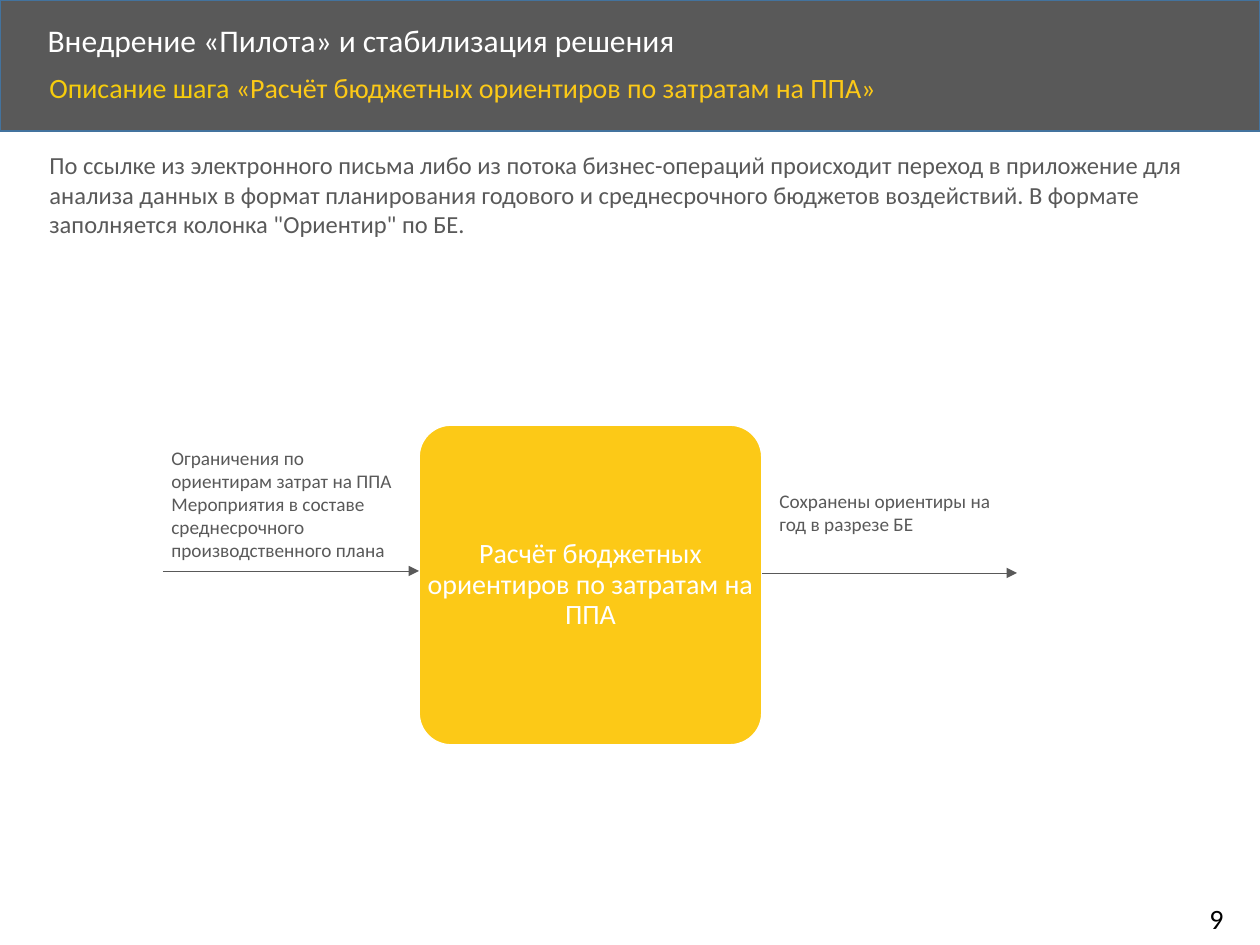
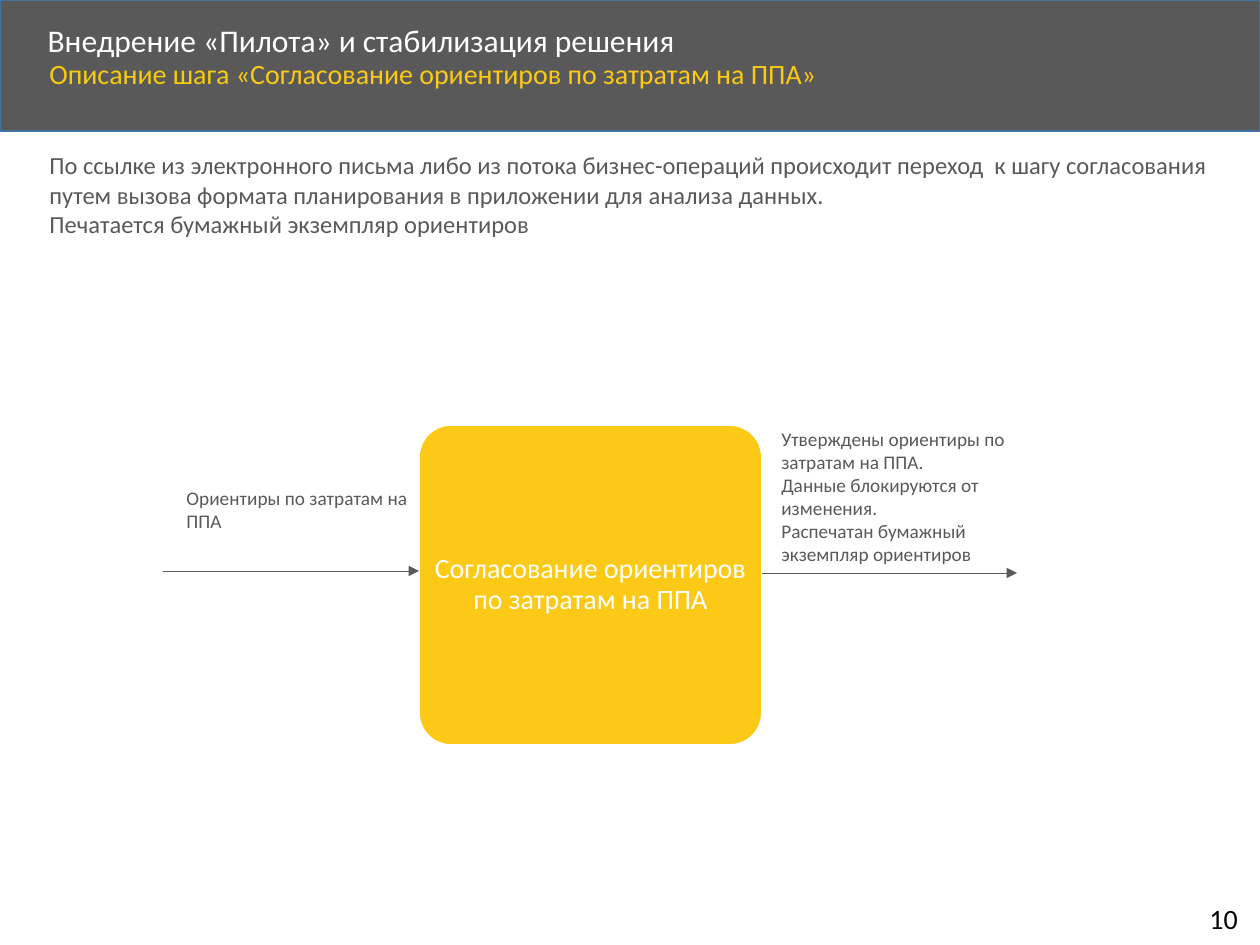
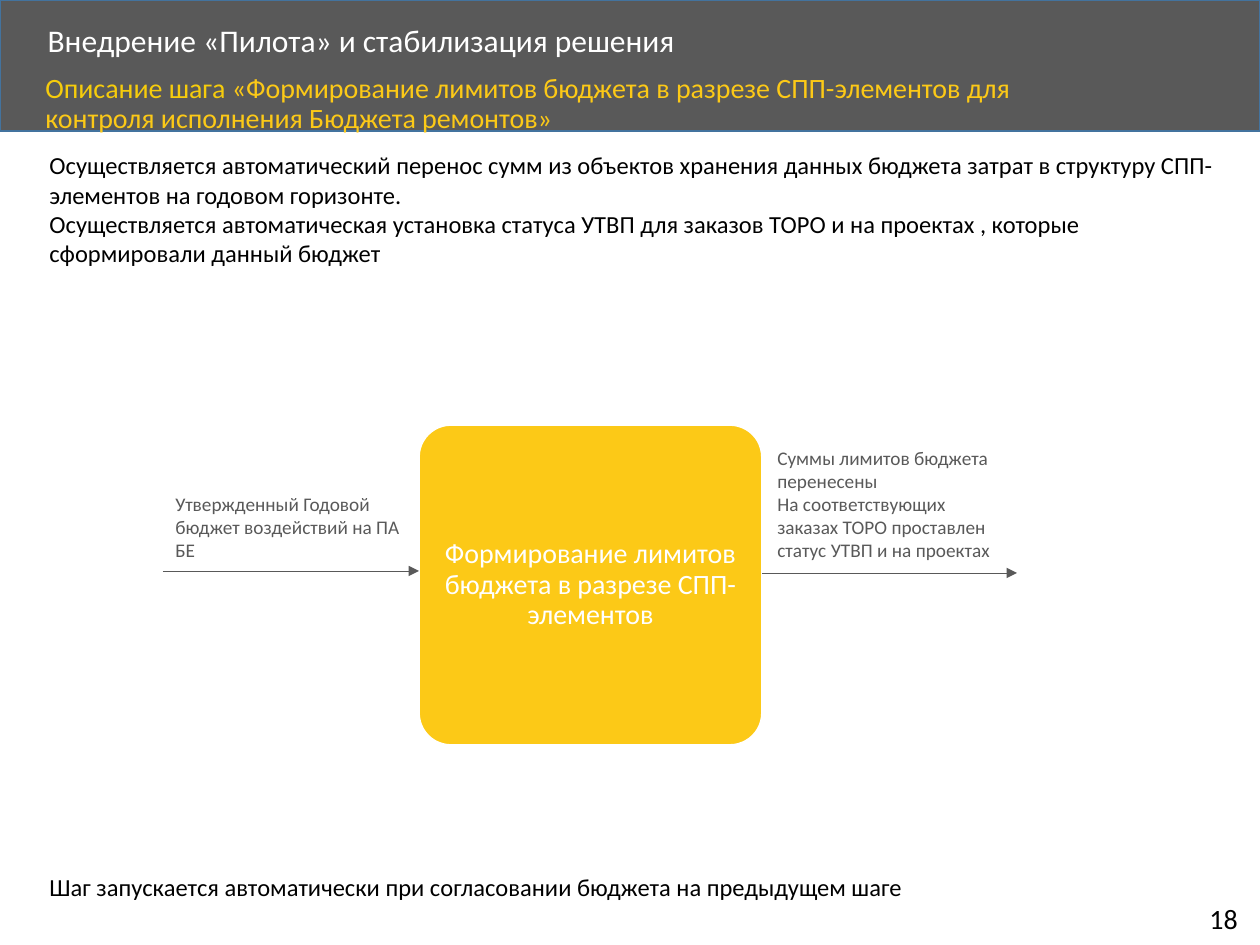
from lxml.etree import SubElement
from pptx import Presentation
from pptx.dml.color import RGBColor
from pptx.enum.shapes import MSO_CONNECTOR, MSO_SHAPE
from pptx.enum.text import MSO_ANCHOR, MSO_AUTO_SIZE, PP_ALIGN
from pptx.oxml.ns import qn
from pptx.util import Inches, Pt

PX = Inches(1) / 126
GRAY = RGBColor(0x59, 0x59, 0x59)
BLUE = RGBColor(0x43, 0x73, 0x9E)
GOLD = RGBColor(0xF6, 0xCC, 0x0C)
YELLOW = RGBColor(0xFC, 0xC9, 0x17)
WHITE = RGBColor(0xFF, 0xFF, 0xFF)
BLACK = RGBColor(0, 0, 0)

HEADING = "Внедрение «Пилота» и стабилизация решения"
SUBTITLE_LEAD = "Описание шага "
BAND_BOX = (0, 0, 1260, 131)
HEADING_BOX = (35, 18, 1017, 48)
NUMBER_BOX = (1197, 895, 58, 47)
STEP_BOX = (419, 425, 343, 320)

STEPS = [
    {
        "number": "9",
        "subtitle": "«Расчёт бюджетных ориентиров по затратам на ППА»",
        "subtitle_box": (37, 68, 1090, 57),
        "step": "Расчёт бюджетных ориентиров по затратам на ППА",
        "input": ["Ограничения по ориентирам затрат на ППА",
                  "Мероприятия в составе среднесрочного производственного плана"],
        "input_box": (159, 440, 252, 130),
        "output": ["Сохранены ориентиры на год в разрезе БЕ"],
        "output_box": (767, 483, 252, 59),
        "color": GRAY,
        "notes": [((37, 144, 1192, 102), [
            "По ссылке из электронного письма либо из потока бизнес-операций "
            "происходит переход в приложение для анализа данных в формат "
            "планирования годового и среднесрочного бюджетов воздействий. "
            "В формате заполняется колонка \"Ориентир\" по БЕ."])],
    },
    {
        "number": "10",
        "subtitle": "«Согласование ориентиров по затратам на ППА»",
        "subtitle_box": (37, 54, 1092, 57),
        "step": "Согласование ориентиров по затратам на ППА",
        "input": ["Ориентиры по затратам на ППА"],
        "input_box": (174, 480, 252, 59),
        "output": ["Утверждены ориентиры по затратам на ППА.",
                   "Данные блокируются от изменения.",
                   "Распечатан бумажный экземпляр ориентиров"],
        "output_box": (769, 421, 252, 152),
        "color": GRAY,
        "notes": [((37, 144, 1192, 102), [
            "По ссылке из электронного письма либо из потока бизнес-операций "
            "происходит переход  к шагу согласования путем вызова формата "
            "планирования в приложении для анализа данных.",
            "Печатается бумажный экземпляр ориентиров"])],
    },
    {
        "number": "18",
        "subtitle": "«Формирование лимитов бюджета в разрезе СПП-элементов "
                    "для контроля исполнения Бюджета ремонтов»",
        "subtitle_box": (33, 68, 1092, 57),
        "step": "Формирование лимитов бюджета в разрезе СПП-элементов",
        "input": ["Утвержденный Годовой бюджет воздействий на ПА БЕ"],
        "input_box": (163, 486, 252, 83),
        "output": ["Суммы лимитов бюджета перенесены",
                   "На соответствующих заказах ТОРО проставлен статус УТВП "
                   "и на проектах"],
        "output_box": (765, 440, 252, 130),
        "color": BLACK,
        "notes": [
            ((37, 144, 1192, 131), [
                "Осуществляется автоматический перенос сумм из объектов "
                "хранения данных бюджета затрат в структуру СПП-элементов "
                "на годовом горизонте.",
                "Осуществляется автоматическая установка статуса УТВП для "
                "заказов ТОРО и на проектах , которые сформировали данный "
                "бюджет"]),
            ((37, 866, 1192, 43), [
                "Шаг запускается автоматически при согласовании бюджета "
                "на предыдущем шаге"])],
    },
]


def emu(*lengths):
    return [round(n * PX) for n in lengths]


def set_all(target, values):
    for name, value in values.items():
        setattr(target, name, value)


def write(tf, paragraphs, size, frame=None, para=None):
    set_all(tf, {"word_wrap": True, "auto_size": MSO_AUTO_SIZE.NONE, **(frame or {})})
    for i, runs in enumerate(paragraphs):
        p = tf.add_paragraph() if i else tf.paragraphs[0]
        set_all(p, para or {})
        for text, color in runs:
            r = p.add_run()
            r.text = text
            set_all(r.font, {"name": "Calibri", "size": Pt(size)})
            r.font.color.rgb = color


def add_text(shapes, box, paragraphs, size, frame=None, para=None):
    sp = shapes.add_textbox(*emu(*box))
    write(sp.text_frame, paragraphs, size, frame, para)


def add_block(shapes, kind, box, fill, line):
    sp = shapes.add_shape(kind, *emu(*box))
    sp.shadow.inherit = False
    sp.fill.solid()
    sp.fill.fore_color.rgb = fill
    sp.line.color.rgb = line
    sp.line.width = Pt(1)
    return sp


def add_arrow(shapes, x, y, length):
    line = shapes.add_connector(MSO_CONNECTOR.STRAIGHT, *emu(x, y, x + length, y))
    line.line.color.rgb = GRAY
    line.line.width = Pt(0.5)
    SubElement(line.line._get_or_add_ln(), qn("a:tailEnd"), type="triangle")
    SubElement(line.element.spPr, qn("a:effectLst"))


def move_band_to_layout(slide):
    band = add_block(slide.shapes, MSO_SHAPE.RECTANGLE, BAND_BOX, GRAY, BLUE)
    slide.slide_layout.shapes.element.insert(2, band.element)


def add_header(slide, step):
    title = slide.shapes.title
    set_all(title, dict(zip(("left", "top", "width", "height"), emu(*HEADING_BOX))))
    write(title.text_frame, [[(HEADING, WHITE)]], 18,
          {"vertical_anchor": MSO_ANCHOR.MIDDLE},
          {"alignment": PP_ALIGN.LEFT, "line_spacing": 0.9})
    add_text(slide.shapes, step["subtitle_box"],
             [[(SUBTITLE_LEAD, GOLD), (step["subtitle"], YELLOW)]], 16,
             para={"line_spacing": 0.9})
    add_text(slide.shapes, NUMBER_BOX, [[(step["number"], BLACK)]], 16,
             {"word_wrap": False})


def add_step(slide, step, box):
    x, y, w, h = box
    shapes = slide.shapes
    group = shapes.add_group_shape().shapes
    block = add_block(group, MSO_SHAPE.ROUNDED_RECTANGLE, box, YELLOW, WHITE)
    block.adjustments[0] = 0.1
    margins = dict.fromkeys(
        ("margin_left", "margin_top", "margin_right", "margin_bottom"), emu(1)[0])
    add_text(group, (x + 7, y + 9, w - 14, h - 18), [[(step["step"], WHITE)]], 16,
             {"vertical_anchor": MSO_ANCHOR.MIDDLE, **margins},
             {"alignment": PP_ALIGN.CENTER, "line_spacing": 0.9})
    add_arrow(shapes, x - 256, y + 146, 256)
    add_arrow(shapes, x + w, y + 148, 255)
    for side in ("input", "output"):
        add_text(shapes, step[side + "_box"],
                 [[(text, GRAY)] for text in step[side]], 11)


def add_notes(slide, step):
    for box, texts in step["notes"]:
        add_text(slide.shapes, box, [[(text, step["color"])] for text in texts], 14)


def main():
    prs = Presentation()
    prs.slide_width, prs.slide_height = Inches(10), Inches(7.5)
    for i, step in enumerate(STEPS):
        slide = prs.slides.add_slide(prs.slide_layouts[5])
        if i == 0:
            move_band_to_layout(slide)
        add_header(slide, step)
        add_step(slide, step, STEP_BOX)
        add_notes(slide, step)
    prs.save("out.pptx")


if __name__ == "__main__":
    main()
